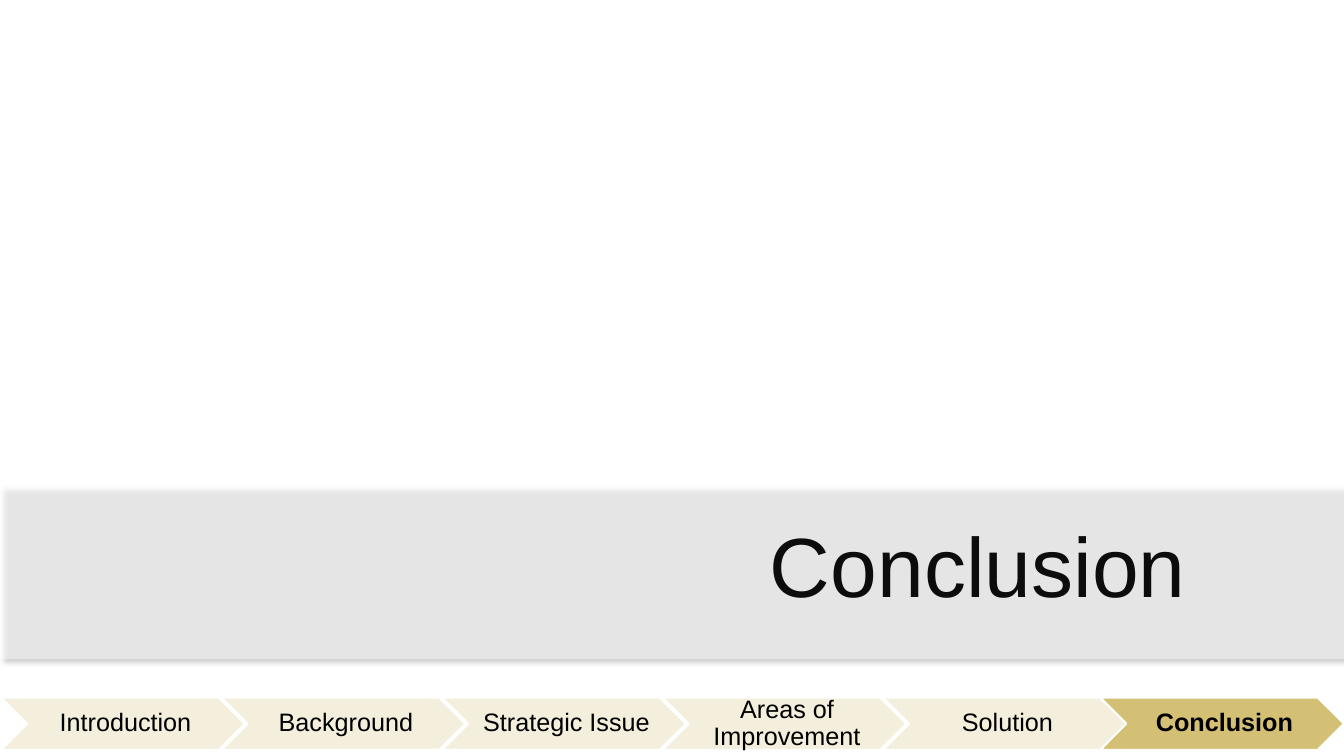
import pptx
import pptx.dml.color
import pptx.enum.shapes
import pptx.enum.text
import pptx.oxml
import pptx.oxml.ns
import pptx.util

Pt = pptx.util.Pt
SHAPE = pptx.enum.shapes.MSO_SHAPE
ALIGN = pptx.enum.text.PP_ALIGN
ANCHOR = pptx.enum.text.MSO_ANCHOR

COLOURS = {"white": "FFFFFF", "gold": "D4C074", "title": "0C0C0C", "label": "000000"}
PAGE_WIDTH, PAGE_HEIGHT = 960, 540
STAGES = ["Introduction", "Background", "Strategic Issue",
          "Areas of Improvement", "Solution", "Conclusion"]
CURRENT_STAGE = "Conclusion"
STAGE_LEFT, STAGE_TOP, STAGE_STEP = 0.72, 498.24, 157.5
STAGE_WIDTH, STAGE_HEIGHT = 174.24, 37.44
LABEL_INSET, LABEL_WIDTH = 18.72, 136.8


def colour(name):
    return pptx.dml.color.RGBColor.from_string(COLOURS[name])


def add_filled_shape(shapes, kind, left, top, width, height, fill, opacity=100):
    shape = shapes.add_shape(kind, Pt(left), Pt(top), Pt(width), Pt(height))
    shape.shadow.inherit = False
    shape.fill.solid()
    shape.fill.fore_color.rgb = colour(fill)
    if opacity < 100:
        tint = shape.fill._xPr.find(".//" + pptx.oxml.ns.qn("a:srgbClr"))
        alpha = tint.makeelement(pptx.oxml.ns.qn("a:alpha"), {"val": str(opacity * 1000)})
        tint.append(alpha)
    return shape


def add_shadow(shape, blur, distance, angle, opacity):
    effects = shape._element.spPr.find(pptx.oxml.ns.qn("a:effectLst"))
    effects.append(pptx.oxml.parse_xml(
        f'<a:outerShdw {pptx.oxml.ns.nsdecls("a")} blurRad="{Pt(blur)}" '
        f'dist="{Pt(distance)}" dir="{angle * 60000}" algn="tl" rotWithShape="0">'
        f'<a:srgbClr val="000000"><a:alpha val="{opacity * 1000}"/></a:srgbClr>'
        '</a:outerShdw>'))


def add_text(shapes, text, left, top, width, height, *, size, ink, bold=False,
             align=ALIGN.LEFT, anchor=ANCHOR.TOP, spacing=1.0,
             insets=(7.2, 3.6, 7.2, 3.6)):
    box = shapes.add_textbox(Pt(left), Pt(top), Pt(width), Pt(height))
    frame = box.text_frame
    frame.word_wrap = True
    frame.vertical_anchor = anchor
    (frame.margin_left, frame.margin_top,
     frame.margin_right, frame.margin_bottom) = map(Pt, insets)
    para = frame.paragraphs[0]
    para.alignment = align
    para.line_spacing = spacing
    span = para.add_run()
    span.text = text
    span.font.name = "Arial"
    span.font.size = Pt(size)
    span.font.bold = bold
    span.font.color.rgb = colour(ink)


def add_stage(shapes, name, left, current):
    chevron = add_filled_shape(shapes, SHAPE.CHEVRON, left, STAGE_TOP, STAGE_WIDTH,
                               STAGE_HEIGHT, "gold", 100 if current else 24)
    chevron.adjustments[0] = 0.5
    chevron.line.color.rgb = colour("white")
    chevron.line.width = Pt(1.5)
    add_text(shapes, name, left + LABEL_INSET, STAGE_TOP, LABEL_WIDTH, STAGE_HEIGHT,
             size=18, ink="label", bold=current, align=ALIGN.CENTER,
             anchor=ANCHOR.MIDDLE, spacing=0.9, insets=(5.76, 2.16, 2.16, 2.16))


def main():
    deck = pptx.Presentation()
    deck.slide_width, deck.slide_height = Pt(PAGE_WIDTH), Pt(PAGE_HEIGHT)
    page = deck.slides.add_slide(deck.slide_layouts[6])

    band = add_filled_shape(page.shapes, SHAPE.RECTANGLE, 0, 347.04, PAGE_WIDTH, 123.84,
                            "white", 50)
    band.line.fill.background()
    add_shadow(band, blur=4, distance=3, angle=45, opacity=40)
    add_text(page.shapes, "Conclusion", 542.88, 362.88, 344.16, 79.92,
             size=60, ink="title")

    tracker = page.shapes.add_group_shape()
    for index, name in enumerate(STAGES):
        left = min(STAGE_LEFT + index * STAGE_STEP, PAGE_WIDTH - STAGE_WIDTH)
        add_stage(tracker.shapes, name, left, name == CURRENT_STAGE)

    deck.save("out.pptx")


if __name__ == "__main__":
    main()
